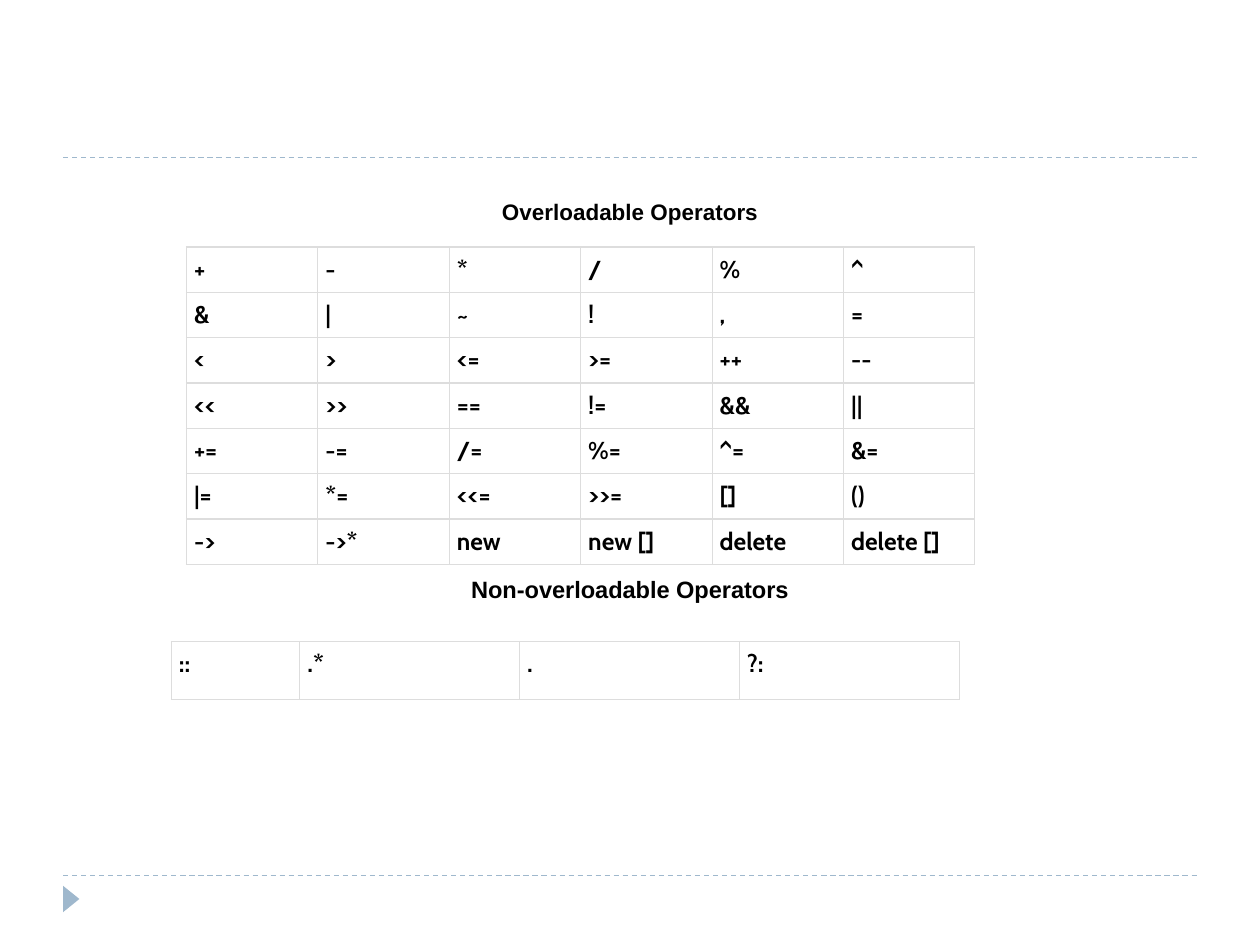
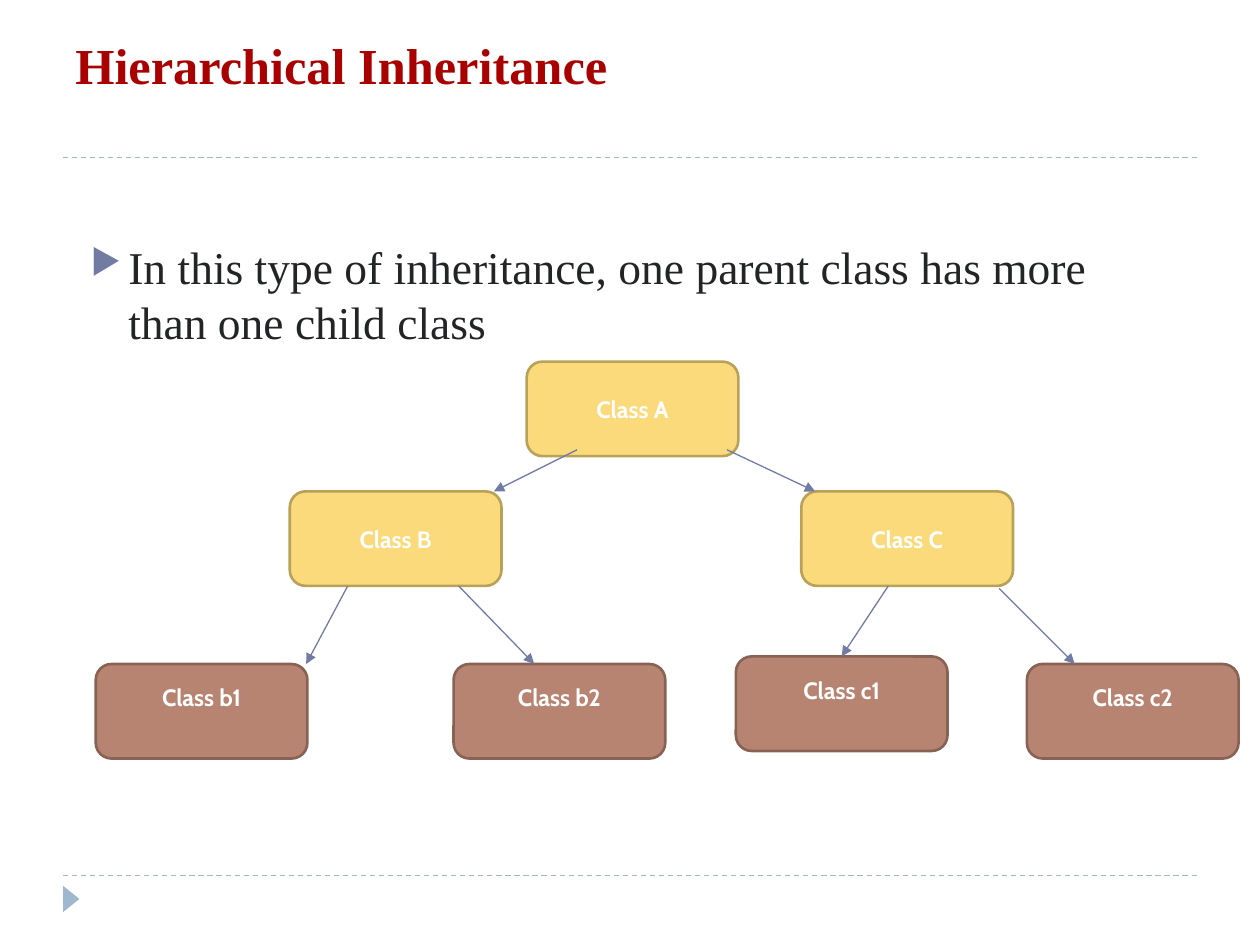
from dataclasses import dataclass

from lxml.etree import SubElement
from pptx import Presentation
from pptx.dml.color import RGBColor
from pptx.enum.dml import MSO_LINE
from pptx.enum.shapes import MSO_CONNECTOR, MSO_SHAPE
from pptx.enum.text import MSO_ANCHOR, PP_ALIGN
from pptx.oxml.ns import qn
from pptx.util import Inches, Pt


@dataclass(frozen=True)
class Theme:
    # Colours
    rule: str = "9FB8CD"
    grid: str = "DDDDDD"
    black: str = "000000"
    white: str = "FFFFFF"
    title: str = "A90000"
    body: str = "222426"
    accent: str = "727CA3"
    gold: tuple = ("FADA7A", "B9A15A")
    brown: tuple = ("B88472", "886254")
    # Fonts
    sans: str = "Arial"
    serif: str = "Times New Roman"
    label: str = "Cabin"
    # Type sizes and line widths in points
    head: float = 28.8
    text: float = 26
    cell: float = 14
    node: float = 13.5
    cap: float = 12.8
    thin: float = 0.75
    edge: float = 1.5


THEME = Theme()

OVERLOAD = [
    ["+", "-", "*", "/", "%", "^"],
    ["&", "|", "~", "!", ",", "="],
    ["<", ">", "<=", ">=", "++", "--"],
    ["<<", ">>", "==", "!=", "&&", "||"],
    ["+=", "-=", "/=", "%=", "^=", "&="],
    ["|=", "*=", "<<=", ">>=", "[]", "()"],
    ["->", "->*", "new", "new []", "delete", "delete []"],
]
FIXED = [["::", ".*", ".", "?:"]]

# Left and top of each class box, within the tree
NODES = {
    "Class A": (3.42, 0),
    "Class B": (1.54, 1.03),
    "Class C": (5.6, 1.03),
    "Class b1": (0, 2.4),
    "Class b2": (2.84, 2.4),
    "Class c1": (5.08, 2.34),
    "Class c2": (7.39, 2.4),
}
# Start and end of each arrow, within the tree
ARROWS = [
    (3.82, 0.7, 3.16, 1.03),
    (5.01, 0.7, 5.71, 1.03),
    (2, 1.78, 1.67, 2.4),
    (2.88, 1.78, 3.48, 2.4),
    (6.29, 1.78, 5.92, 2.34),
    (7.17, 1.8, 7.77, 2.4),
]
NODE_W, NODE_H = 1.68, 0.75


def rgb(code):
    return RGBColor.from_string(code)


def put(frame, text, font, size, color, bold=True, align=PP_ALIGN.LEFT):
    """Write one styled paragraph and return it."""
    frame.word_wrap = True
    frame.text = text
    para = frame.paragraphs[0]
    para.alignment = align
    style = para.runs[0].font
    style.name, style.size, style.bold = font, Pt(size), bold
    style.color.rgb = rgb(color)
    return para


def label(slide, box, *args, **kwargs):
    area = slide.shapes.add_textbox(*map(Inches, box))
    return put(area.text_frame, *args, **kwargs)


def line(slide, ends, color):
    link = slide.shapes.add_connector(MSO_CONNECTOR.STRAIGHT, *map(Inches, ends))
    link.line.color.rgb = rgb(color)
    link.line.width = Pt(THEME.thin)
    SubElement(link._element.spPr, qn("a:effectLst"))
    return link


def frame(slide, box):
    """Dashed rules at the top and foot of the box, with a corner marker."""
    left, top, width, height = box
    for y in (top + height, top):
        rule = line(slide, (left, y, left + width, y), THEME.rule)
        rule.line.dash_style = MSO_LINE.DASH
    mark = slide.shapes.add_shape(
        MSO_SHAPE.ISOSCELES_TRIANGLE, Inches(left - 0.04),
        Inches(top + height + 0.12), Inches(0.21), Inches(0.13))
    mark.rotation = 90
    mark.shadow.inherit = False
    mark.fill.solid()
    mark.fill.fore_color.rgb = rgb(THEME.rule)
    mark.line.fill.background()


def border(cell):
    props = cell._tc.get_or_add_tcPr()
    for side in ("lnL", "lnR", "lnT", "lnB"):
        edge = SubElement(props, qn(f"a:{side}"), w=str(Pt(THEME.thin)))
        fill = SubElement(edge, qn("a:solidFill"))
        SubElement(fill, qn("a:srgbClr"), val=THEME.grid)


def grid(slide, spot, rows, widths, height):
    """Table of operators, one row height for all."""
    table = slide.shapes.add_table(
        len(rows), len(widths), *map(Inches, spot),
        Inches(sum(widths)), Inches(height * len(rows))).table
    table.first_row = table.horz_banding = False
    for col, width in zip(table.columns, widths):
        col.width = Inches(width)
    for row, words in zip(table.rows, rows):
        row.height = Inches(height)
        for cell, word in zip(row.cells, words):
            cell.margin_left = cell.margin_right = Inches(0.06)
            cell.margin_top = cell.margin_bottom = Inches(0.06)
            border(cell)
            cell.fill.background()
            put(cell.text_frame, word, THEME.label, THEME.cell, THEME.black)


def node(slide, left, top, name):
    """Class box; leaf classes are brown with a raised name."""
    leaf = len(name) > len("Class A")
    fill, edge = THEME.brown if leaf else THEME.gold
    box = slide.shapes.add_shape(
        MSO_SHAPE.ROUNDED_RECTANGLE,
        *map(Inches, (left, top, NODE_W, NODE_H)))
    box.shadow.inherit = False
    box.fill.solid()
    box.fill.fore_color.rgb = rgb(fill)
    box.line.color.rgb = rgb(edge)
    box.line.width = Pt(THEME.edge)
    words = box.text_frame
    words.vertical_anchor = MSO_ANCHOR.MIDDLE
    if leaf:
        words.margin_bottom = Inches(0.27)
    put(words, name, THEME.label, THEME.node, THEME.white, align=PP_ALIGN.CENTER)
    return box


def tree(slide, left, top):
    """Class boxes and the arrows between them."""
    boxes = {name: node(slide, left + x, top + y, name)
             for name, (x, y) in NODES.items()}
    for x1, y1, x2, y2 in ARROWS:
        ends = (left + x1, top + y1, left + x2, top + y2)
        arrow = line(slide, ends, THEME.accent)
        SubElement(arrow.line._get_or_add_ln(), qn("a:tailEnd"), type="triangle")
        # Join arrows that reach the middle of a box's top
        for name, (x, y) in NODES.items():
            if abs(x + NODE_W / 2 - x2) < 0.01 and abs(y - y2) < 0.01:
                arrow.end_connect(boxes[name], 0)


def bullet(para):
    props = para._p.get_or_add_pPr()
    props.set("marL", str(Inches(0.3)))
    props.set("indent", str(Inches(-0.3)))
    color = SubElement(props, qn("a:buClr"))
    SubElement(color, qn("a:srgbClr"), val=THEME.accent)
    SubElement(props, qn("a:buSzPct"), val="76000")
    SubElement(props, qn("a:buChar"), char="▶")


def tables(slide, box):
    """Two captioned operator tables."""
    left, top, width, _ = box
    captions = [("Overloadable Operators", 0.27, THEME.cap),
                ("Non-overloadable Operators", 3.26, THEME.node)]
    for text, y, size in captions:
        label(slide, (left, top + y, width, 0.32), text, THEME.sans, size,
              THEME.black, align=PP_ALIGN.CENTER)
    grid(slide, (left + 0.98, top + 0.71), OVERLOAD, [1.043] * 6, 0.36)
    grid(slide, (left + 0.86, top + 3.84), FIXED, [1.02] + [1.745] * 3, 0.46)


def lesson(slide, box):
    """Title, one bullet and the class tree."""
    left, top, width, _ = box
    label(slide, (left, top - 1.03, width, 0.56), "Hierarchical Inheritance",
          THEME.serif, THEME.head, THEME.title)
    para = label(
        slide, (left + 0.12, top + 0.6, 8.62, 1),
        "In this type of inheritance, one parent class has more than one child class",
        THEME.serif, THEME.text, THEME.body, bold=False)
    para.space_before = Pt(6)
    bullet(para)
    tree(slide, left + 0.26, top + 1.62)


def main():
    deck = Presentation()
    deck.slide_width, deck.slide_height = Inches(10), Inches(7.5)
    area = (0.5, 1.25, 9, 5.7)
    for build in (tables, lesson):
        slide = deck.slides.add_slide(deck.slide_layouts[6])
        frame(slide, area)
        build(slide, area)
    deck.save("out.pptx")


if __name__ == "__main__":
    main()
